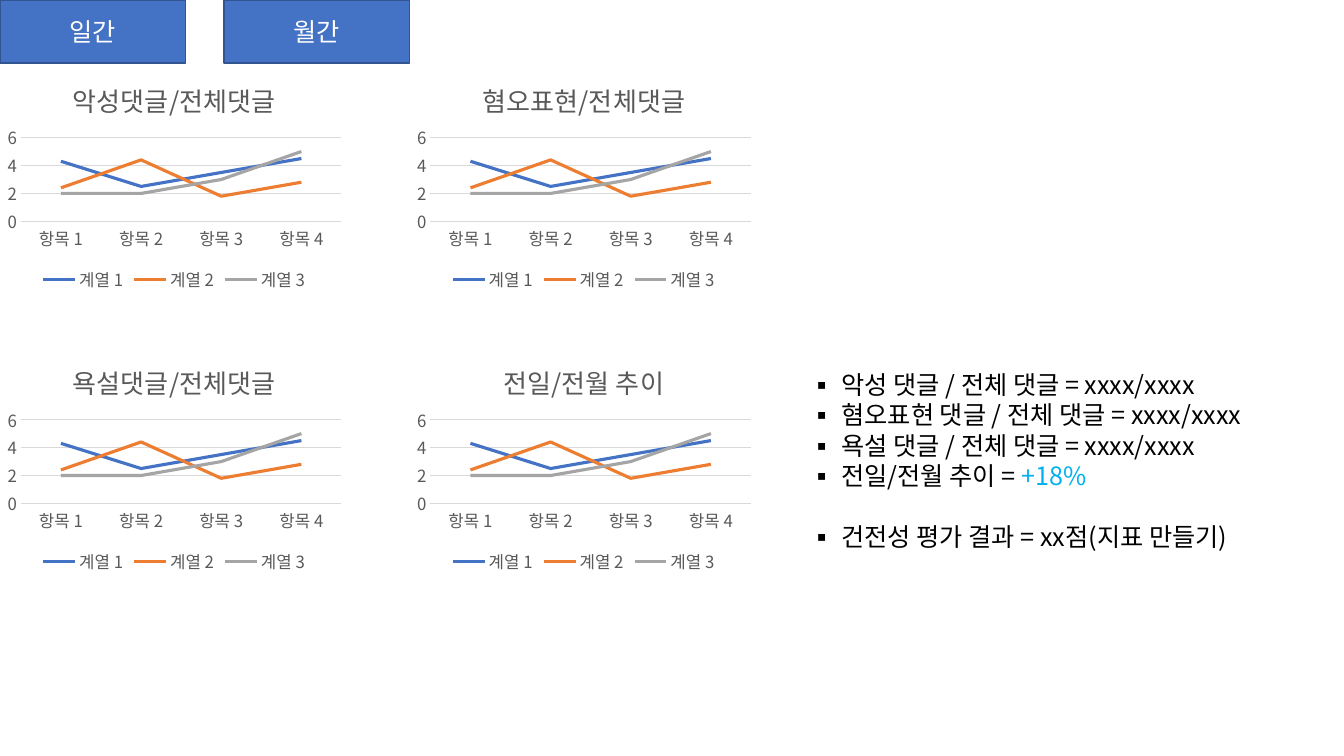
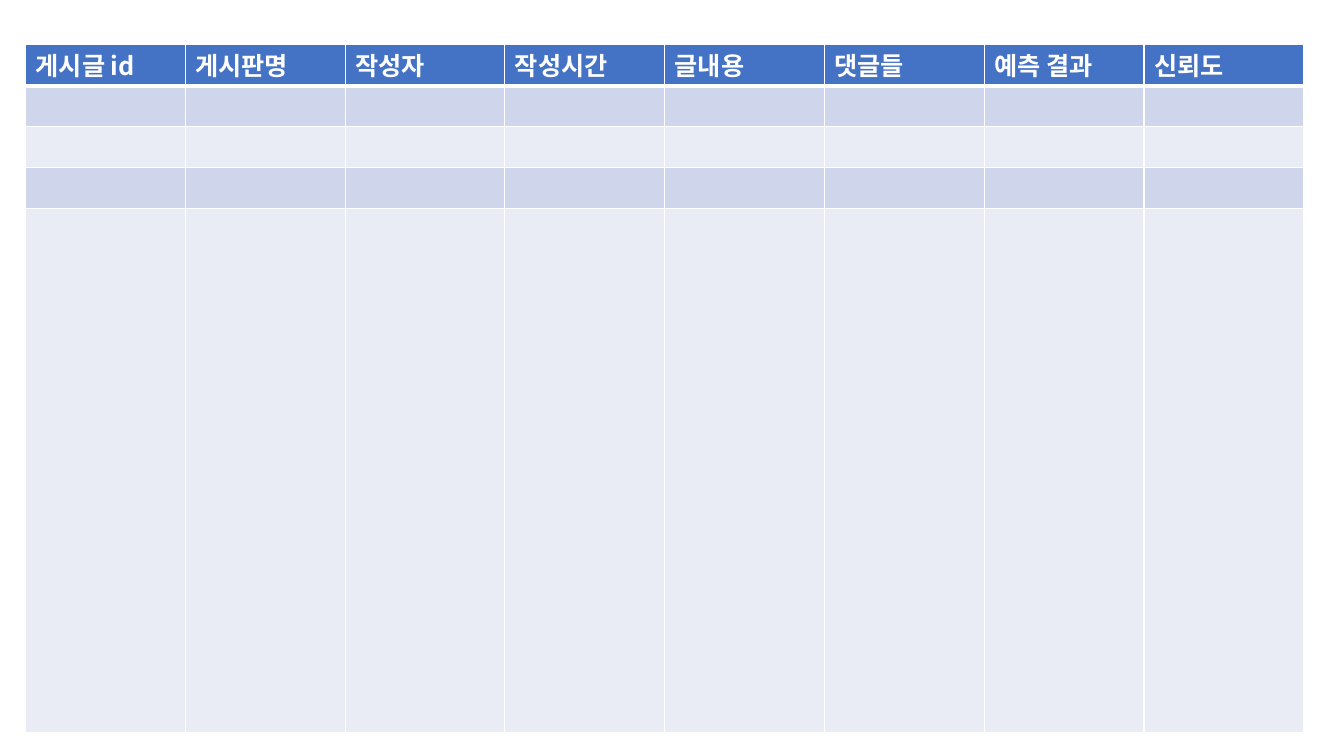
import pptx
import pptx.chart.data
import pptx.dml.color
import pptx.enum.chart
import pptx.enum.shapes
import pptx.enum.text
import pptx.oxml
import pptx.oxml.ns
import pptx.util
import lxml.etree

Pt = pptx.util.Pt
RGBColor = pptx.dml.color.RGBColor
qn = pptx.oxml.ns.qn

FONT = "Noto Sans CJK KR"
BLUE = RGBColor(0x44, 0x72, 0xC4)
ORANGE = RGBColor(0xED, 0x7D, 0x31)
GREY = RGBColor(0xA5, 0xA5, 0xA5)
BUTTON_EDGE = RGBColor(0x32, 0x54, 0x91)
CHART_TEXT = RGBColor(0x59, 0x59, 0x59)
CHART_RULE = RGBColor(0xD9, 0xD9, 0xD9)
WHITE = RGBColor(0xFF, 0xFF, 0xFF)
BLACK = RGBColor(0, 0, 0)
SKY = RGBColor(0x00, 0xB0, 0xF0)
BAND_DARK = RGBColor(0xCF, 0xD5, 0xEA)
BAND_LIGHT = RGBColor(0xE9, 0xEB, 0xF5)

PERIODS = ["일간", "월간"]
CHART_TITLES = ["악성댓글/전체댓글", "혐오표현/전체댓글", "욕설댓글/전체댓글", "전일/전월 추이"]
CATEGORIES = ["항목 1", "항목 2", "항목 3", "항목 4"]
SERIES = [
    ("계열 1", (4.3, 2.5, 3.5, 4.5), BLUE),
    ("계열 2", (2.4, 4.4, 1.8, 2.8), ORANGE),
    ("계열 3", (2, 2, 3, 5), GREY),
]
# Each point: space before, then its runs
POINTS = [
    (0, [("악성 댓글 / 전체 댓글 = xxxx/xxxx", BLACK)]),
    (0, [("혐오표현 댓글 / 전체 댓글 = xxxx/xxxx", BLACK)]),
    (0, [("욕설 댓글 / 전체 댓글 = xxxx/xxxx", BLACK)]),
    (0, [("전일/전월 추이 = ", BLACK), ("+18%", SKY)]),
    (21.8, [("건전성 평가 결과 = xx점(지표 만들기)", BLACK)]),
]
COLUMNS = ["게시글 id", "게시판명", "작성자", "작성시간", "글내용", "댓글들", "예측 결과", "신뢰도"]
BANDS = [BLUE, BAND_DARK, BAND_LIGHT, BAND_DARK, BAND_LIGHT]

SLIDE_W, SLIDE_H = 960, 540
BUTTON_W, BUTTON_H, BUTTON_STEP = 132.5, 45, 160
CHART_W, CHART_H = 249, 166.5
CHART_STEP_X, CHART_STEP_Y = 292.5, 201.5
PLOT_LAYOUT = {"x": 0.06, "y": 0.32, "w": 0.92, "h": 0.36}
LINE_PITCH = 21.8
BULLET_INDENT = 22.5
TABLE_X, TABLE_Y, TABLE_W, TABLE_H = 18.25, 32, 913, 491
ROW_H = 29.2


def style_font(font, size, color, bold=False):
    """Apply the deck's typeface, for Latin and Korean text alike."""
    for name, value in {"name": FONT, "size": Pt(size), "bold": bold}.items():
        setattr(font, name, value)
    font.color.rgb = color


def add_run(paragraph, text, size, color, bold=False):
    """Append a styled run."""
    run = paragraph.add_run()
    run.text = text
    style_font(run.font, size, color, bold)
    east_asian = lxml.etree.SubElement(run.font._element, qn("a:ea"))
    east_asian.set("typeface", FONT)


def add_button(slide, index, label):
    """Draw one period button in the row along the top."""
    button = slide.shapes.add_shape(
        pptx.enum.shapes.MSO_SHAPE.RECTANGLE,
        Pt(index * BUTTON_STEP), 0, Pt(BUTTON_W), Pt(BUTTON_H))
    button.shadow.inherit = False
    button.fill.solid()
    button.fill.fore_color.rgb = BLUE
    button.line.color.rgb = BUTTON_EDGE
    button.line.width = Pt(1)
    button.text_frame.vertical_anchor = pptx.enum.text.MSO_ANCHOR.MIDDLE
    caption = button.text_frame.paragraphs[0]
    caption.alignment = pptx.enum.text.PP_ALIGN.CENTER
    add_run(caption, label, 18, WHITE)


def fix_plot_area(chart):
    """Pin the inner plot area so that all charts line up."""
    plot_area = chart._chartSpace.chart.plotArea
    for old in plot_area.findall(qn("c:layout")):
        plot_area.remove(old)
    layout = lxml.etree.Element(qn("c:layout"))
    manual = lxml.etree.SubElement(layout, qn("c:manualLayout"))
    settings = {"layoutTarget": "inner", "xMode": "edge", "yMode": "edge"}
    for tag, value in {**settings, **PLOT_LAYOUT}.items():
        lxml.etree.SubElement(manual, qn("c:" + tag)).set("val", str(value))
    plot_area.insert(0, layout)


def add_trend_chart(slide, index, title, data):
    """Draw one line chart in the two-column grid."""
    row, column = divmod(index, 2)
    chart = slide.shapes.add_chart(
        pptx.enum.chart.XL_CHART_TYPE.LINE,
        Pt(column * CHART_STEP_X), Pt(BUTTON_H + row * CHART_STEP_Y),
        Pt(CHART_W), Pt(CHART_H), data).chart
    style_font(chart.font, 12, CHART_TEXT)
    chart.has_title = True
    add_run(chart.chart_title.text_frame.paragraphs[0], title, 18.6, CHART_TEXT)
    chart.chart_title.include_in_layout = False
    chart.has_legend = True
    chart.legend.position = pptx.enum.chart.XL_LEGEND_POSITION.BOTTOM
    chart.legend.include_in_layout = False
    style_font(chart.legend.font, 12, CHART_TEXT)

    for axis in (chart.category_axis, chart.value_axis):
        axis.major_tick_mark = pptx.enum.chart.XL_TICK_MARK.NONE
        axis.minor_tick_mark = pptx.enum.chart.XL_TICK_MARK.NONE
        style_font(axis.tick_labels.font, 12, CHART_TEXT)
    values = chart.value_axis
    for name, value in {"minimum_scale": 0, "maximum_scale": 6, "major_unit": 2}.items():
        setattr(values, name, value)
    values.format.line.fill.background()
    for rule in (chart.category_axis.format.line, values.major_gridlines.format.line):
        rule.color.rgb = CHART_RULE
        rule.width = Pt(0.75)

    chart.plots[0].vary_by_categories = False
    for series, (_, _, color) in zip(chart.plots[0].series, SERIES):
        series.smooth = False
        series.marker.style = pptx.enum.chart.XL_MARKER_STYLE.NONE
        series.format.line.color.rgb = color
        series.format.line.width = Pt(2.25)
    fix_plot_area(chart)


def add_points(slide):
    """Write the bulleted summary to the right of the charts."""
    frame = slide.shapes.add_textbox(Pt(571.5), Pt(260), Pt(366), Pt(138)).text_frame
    frame.word_wrap = True
    for index, (gap, runs) in enumerate(POINTS):
        point = frame.add_paragraph() if index else frame.paragraphs[0]
        point.line_spacing = Pt(LINE_PITCH)
        point.space_before = Pt(gap)
        properties = point._p.get_or_add_pPr()
        properties.set("marL", str(Pt(BULLET_INDENT)))
        properties.set("indent", str(-Pt(BULLET_INDENT)))
        lxml.etree.SubElement(properties, qn("a:buFont")).set("typeface", FONT)
        lxml.etree.SubElement(properties, qn("a:buChar")).set("char", "▪")
        for text, color in runs:
            add_run(point, text, 18, color)


def add_borders(cell, widths):
    """Give a cell white borders; widths are keyed by side."""
    properties = cell._tc.get_or_add_tcPr()
    for position, (side, width) in enumerate(widths.items()):
        border = lxml.etree.Element(qn("a:ln" + side), w=str(Pt(width)))
        fill = lxml.etree.SubElement(border, qn("a:solidFill"))
        lxml.etree.SubElement(fill, qn("a:srgbClr")).set("val", str(WHITE))
        properties.insert(position, border)


def add_post_table(slide):
    """Draw the post table; its last row takes the remaining height."""
    table = slide.shapes.add_table(
        len(BANDS), len(COLUMNS), Pt(TABLE_X), Pt(TABLE_Y), Pt(TABLE_W), Pt(TABLE_H)).table
    last = len(BANDS) - 1
    for column in table.columns:
        column.width = Pt(TABLE_W / len(COLUMNS))
    for r, band in enumerate(BANDS):
        table.rows[r].height = Pt(TABLE_H - last * ROW_H if r == last else ROW_H)
        for c, heading in enumerate(COLUMNS):
            cell = table.cell(r, c)
            cell.fill.solid()
            cell.fill.fore_color.rgb = band
            add_borders(cell, {"L": 1, "R": 1, "T": 3 if r == 1 else 1, "B": 1 if r else 3})
            if r == 0:
                cell.margin_top, cell.margin_bottom = Pt(5.4), Pt(1.8)
                label = cell.text_frame.paragraphs[0]
                label.line_spacing = Pt(LINE_PITCH)
                add_run(label, heading, 18, WHITE, True)


def build():
    """Build both slides and save the deck."""
    deck = pptx.Presentation()
    deck.slide_width, deck.slide_height = Pt(SLIDE_W), Pt(SLIDE_H)
    blank = deck.slide_layouts[6]

    dashboard = deck.slides.add_slide(blank)
    data = pptx.chart.data.CategoryChartData()
    data.categories = CATEGORIES
    for name, values, _ in SERIES:
        data.add_series(name, values)
    for index, title in enumerate(CHART_TITLES):
        add_trend_chart(dashboard, index, title, data)
    for index, label in enumerate(PERIODS):
        add_button(dashboard, index, label)
    add_points(dashboard)

    add_post_table(deck.slides.add_slide(blank))
    deck.save("out.pptx")


build()
